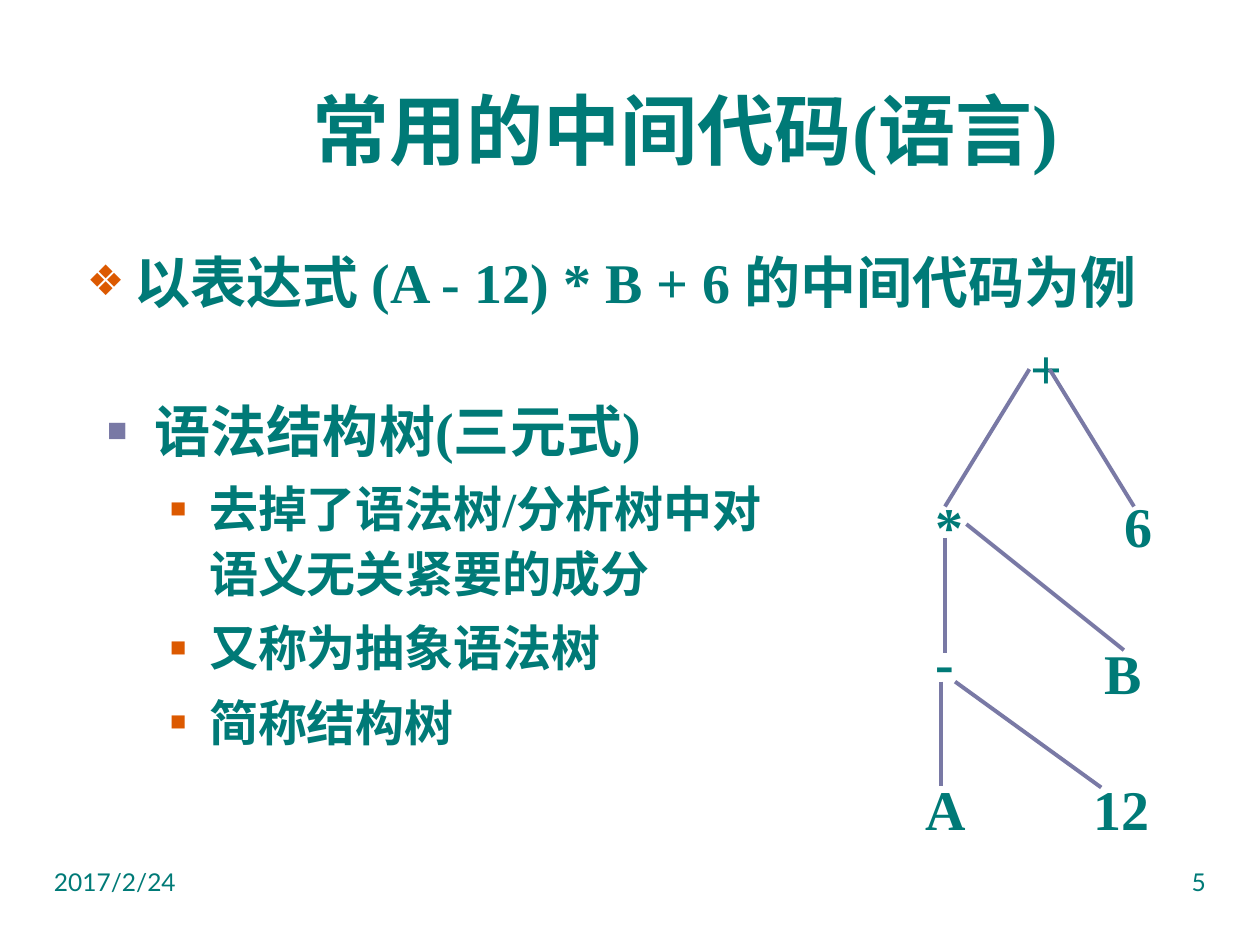
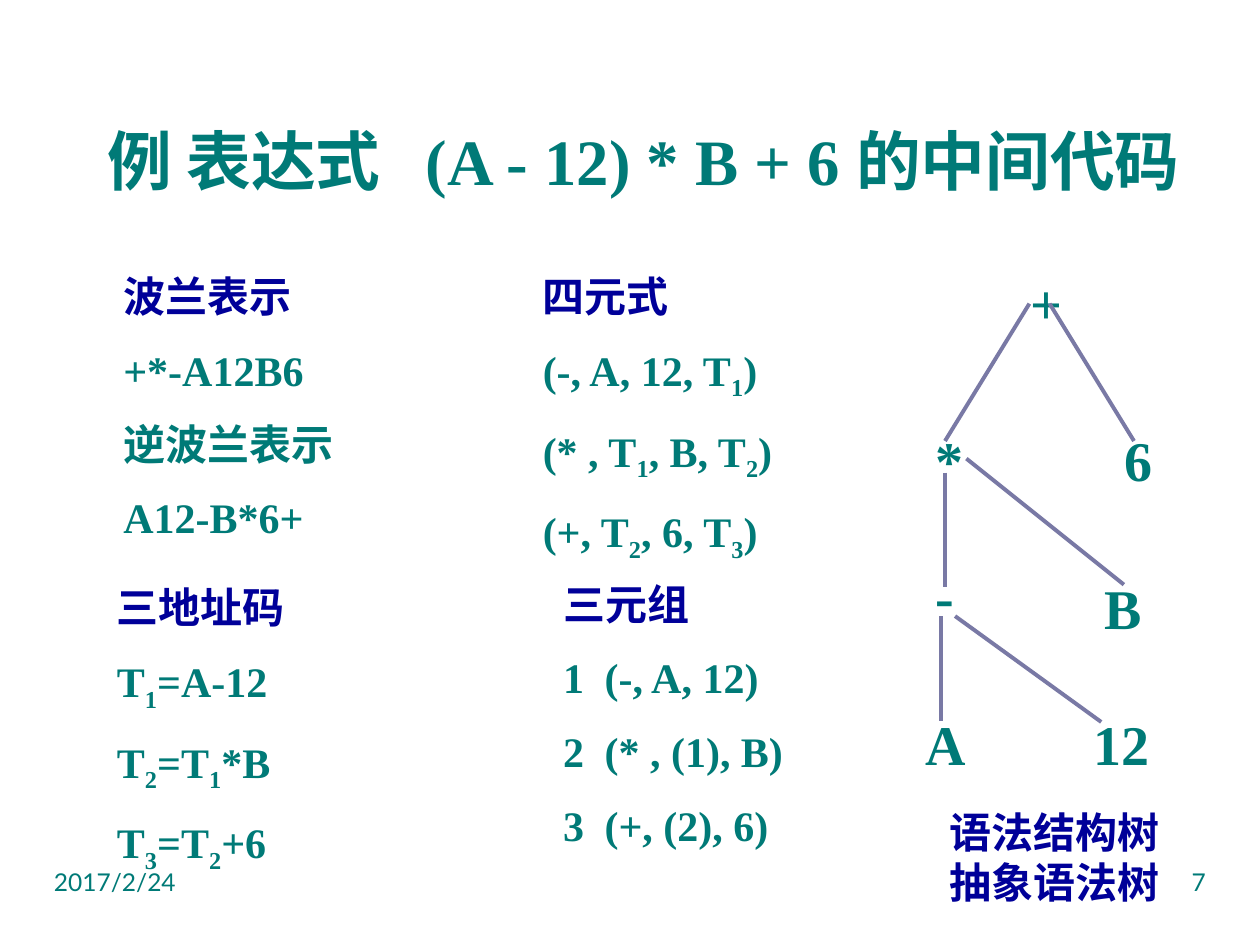
from lxml import etree
from pptx import Presentation
from pptx.dml.color import RGBColor
from pptx.enum.shapes import MSO_CONNECTOR
from pptx.enum.text import MSO_ANCHOR, MSO_AUTO_SIZE, PP_ALIGN
from pptx.oxml.ns import qn
from pptx.util import Inches, Pt

LEFT, MID, RIGHT = PP_ALIGN.LEFT, PP_ALIGN.CENTER, PP_ALIGN.RIGHT
TOP, CENTER = MSO_ANCHOR.TOP, MSO_ANCHOR.MIDDLE
FIXED = MSO_AUTO_SIZE.NONE
LINE = MSO_CONNECTOR.STRAIGHT

HUES = {"teal": "007A77", "navy": "000099", "rust": "DC5900", "mauve": "7979A5"}
SERIF, SANS = "Times New Roman", "Lato"

FONTS = {
    "title": {"name": SERIF, "size": Pt(44), "bold": True},
    "head": {"name": SERIF, "size": Pt(37), "bold": True},
    "big": {"name": SERIF, "size": Pt(32), "bold": True},
    "sub": {"name": SERIF, "size": Pt(28), "bold": True},
    "code": {"name": SERIF, "size": Pt(24), "bold": True},
    "tag": {"name": SANS, "size": Pt(24), "bold": True},
    "foot": {"name": SANS, "size": Pt(14), "bold": False},
}

BULLETS = {
    "main": ("❖", "rust", 75, 0.38, 0.38),
    "part": ("■", "mauve", 60, 0.38, 0.38),
    "item": ("■", "rust", 55, 0.81, 0.31),
}

DATE = "2017/2/24"
TITLE = "常用的中间代码(语言)"
TITLE_BOX = (1.45, 0.26, 7.98, 1.52)
LISTS = [
    ((0.59, 1.86, 8.6, 0.91), [
        ("以表达式 (A - 12) * B + 6 的中间代码为例", "main", "big", 0),
    ]),
    ((0.75, 3.04, 5.75, 3.62), [
        ("语法结构树(三元式)", "part", "big", 0),
        ("去掉了语法树/分析树中对语义无关紧要的成分", "item", "sub", 1),
        ("又称为抽象语法树", "item", "sub", 1),
        ("简称结构树", "item", "sub", 1),
    ]),
]

HEAD = "例 表达式\t(A - 12) * B + 6 的中间代码"
HEAD_BOX = (0.75, 0.91, 8.98, 0.76)
HEAD_TAB, ROW_TAB = 2.53, 0.33
FORMS = [
    ((0.88, 2.1, 1.92, 2.3), ["波兰表示", "+*-A12B6", "逆波兰表示", "A12-B*6+"]),
    ((0.83, 4.57, 1.67, 2.3), ["三地址码", "T_1=A-12", "T_2=T_1*B", "T_3=T_2+6"]),
    ((4.21, 2.1, 2.17, 2.3),
     ["四元式", "(-, A, 12, T_1)", "(* , T_1, B, T_2)", "(+, T_2, 6, T_3)"]),
    ((4.37, 4.54, 2.08, 2.3),
     ["三元组", "1\t(-, A, 12)", "2\t(* , (1), B)", "3\t(+, (2), 6)"]),
]
TAGS = ["语法结构树", "抽象语法树"]
TAG_BOX = (7.44, 6.35, 1.89, 0.9)

NODES = [
    ("+", 8.08, 0, 0.83), ("*", 7.33, 1.25, 0.58), ("6", 8.83, 1.25, 0.75),
    ("-", 7.33, 2.33, 0.67), ("B", 8.67, 2.42, 0.67),
    ("A", 7.25, 3.5, 0.67), ("12", 8.58, 3.5, 0.83),
]
EDGES = [
    (7.5, 1.42, 8.17, 0.33), (8.33, 0.33, 9, 1.42),
    (7.5, 1.67, 7.5, 2.58), (7.67, 1.56, 8.92, 2.56),
    (7.47, 2.81, 7.47, 3.64), (7.58, 2.81, 8.74, 3.65),
]


def hue(name):
    return RGBColor.from_string(HUES[name])


def set_all(target, vals):
    for key, val in vals.items():
        setattr(target, key, val)


def write(para, text, font, color="teal"):
    for num, part in enumerate(text.split("_")):
        bits = [(part, False)] if num == 0 else [(part[0], True), (part[1:], False)]
        for bit, low in bits:
            run = para.add_run()
            run.text = bit
            set_all(run.font, FONTS[font])
            run.font.color.rgb = hue(color)
            if low:
                run.font._element.set("baseline", "-25000")


def add_tab(para, pos):
    tabs = etree.SubElement(para._p.get_or_add_pPr(), qn("a:tabLst"))
    etree.SubElement(tabs, qn("a:tab"), pos=str(Inches(pos)), algn="l")


def add_mark(para, kind):
    char, color, size, left, hang = BULLETS[kind]
    props = para._p.get_or_add_pPr()
    props.set("marL", str(Inches(left)))
    props.set("indent", str(-Inches(hang)))
    tint = etree.SubElement(props, qn("a:buClr"))
    etree.SubElement(tint, qn("a:srgbClr"), val=HUES[color])
    etree.SubElement(props, qn("a:buSzPct"), val=str(size * 1000))
    etree.SubElement(props, qn("a:buChar"), char=char)


def place(shape, box, anchor=TOP):
    keys = ("left", "top", "width", "height")
    set_all(shape, dict(zip(keys, map(Inches, box))))
    frame = shape.text_frame
    set_all(frame, {"word_wrap": True, "auto_size": FIXED, "vertical_anchor": anchor})
    return frame


def paras(frame, rows):
    for num, row in enumerate(rows):
        yield num, row, frame.add_paragraph() if num else frame.paragraphs[0]


def add_text(slide, box, rows, font, color="teal", align=LEFT):
    frame = place(slide.shapes.add_textbox(0, 0, 0, 0), box)
    for _, row, para in paras(frame, rows):
        para.alignment = align
        write(para, row, font, color)


def add_title(slide, text, box, font, align, anchor):
    para = place(slide.shapes.title, box, anchor).paragraphs[0]
    if "\t" in text:
        add_tab(para, HEAD_TAB)
    para.alignment = align
    write(para, text, font)


def add_list(shape, box, rows):
    for num, (text, mark, font, level), para in paras(place(shape, box), rows):
        add_mark(para, mark)
        set_all(para, {"level": level, "line_spacing": 1.1,
                       "space_before": Pt(5.5 if num else 0)})
        write(para, text, font)


def add_form(slide, box, rows):
    frame = place(slide.shapes.add_textbox(0, 0, 0, 0), box)
    for num, row, para in paras(frame, rows):
        if "\t" in row:
            add_tab(para, ROW_TAB)
        para.space_before = Pt(13.3 if num else 0)
        write(para, row, "code", "teal" if num else "navy")


def add_tree(slide, top):
    for text, x, y, width in NODES:
        add_text(slide, (x, top + y, width, 0.63), [text], "big")
    for x1, y1, x2, y2 in EDGES:
        ends = map(Inches, (x1, top + y1, x2, top + y2))
        edge = slide.shapes.add_connector(LINE, *ends)
        edge.line.color.rgb = hue("mauve")
        edge.line.width = Pt(2.25)
        etree.SubElement(edge._element.spPr, qn("a:effectLst"))


def add_foot(slide, page):
    for x, text, align in ((0.33, DATE, LEFT), (7.17, page, RIGHT)):
        add_text(slide, (x, 6.83, 2.5, 0.52), [text], "foot", align=align)


def main():
    deck = Presentation()
    deck.slide_width, deck.slide_height = Inches(10), Inches(7.5)

    slide = deck.slides.add_slide(deck.slide_layouts.get_by_name("Two Content"))
    add_title(slide, TITLE, TITLE_BOX, "title", MID, CENTER)
    for slot, (box, rows) in enumerate(LISTS, 1):
        add_list(slide.placeholders[slot], box, rows)
    add_tree(slide, 2.6)
    add_foot(slide, "5")

    slide = deck.slides.add_slide(deck.slide_layouts.get_by_name("Title Only"))
    add_title(slide, HEAD, HEAD_BOX, "head", LEFT, TOP)
    for box, rows in FORMS:
        add_form(slide, box, rows)
    add_tree(slide, 2.08)
    add_text(slide, TAG_BOX, TAGS, "tag", "navy")
    add_foot(slide, "7")

    deck.save("out.pptx")


if __name__ == "__main__":
    main()
